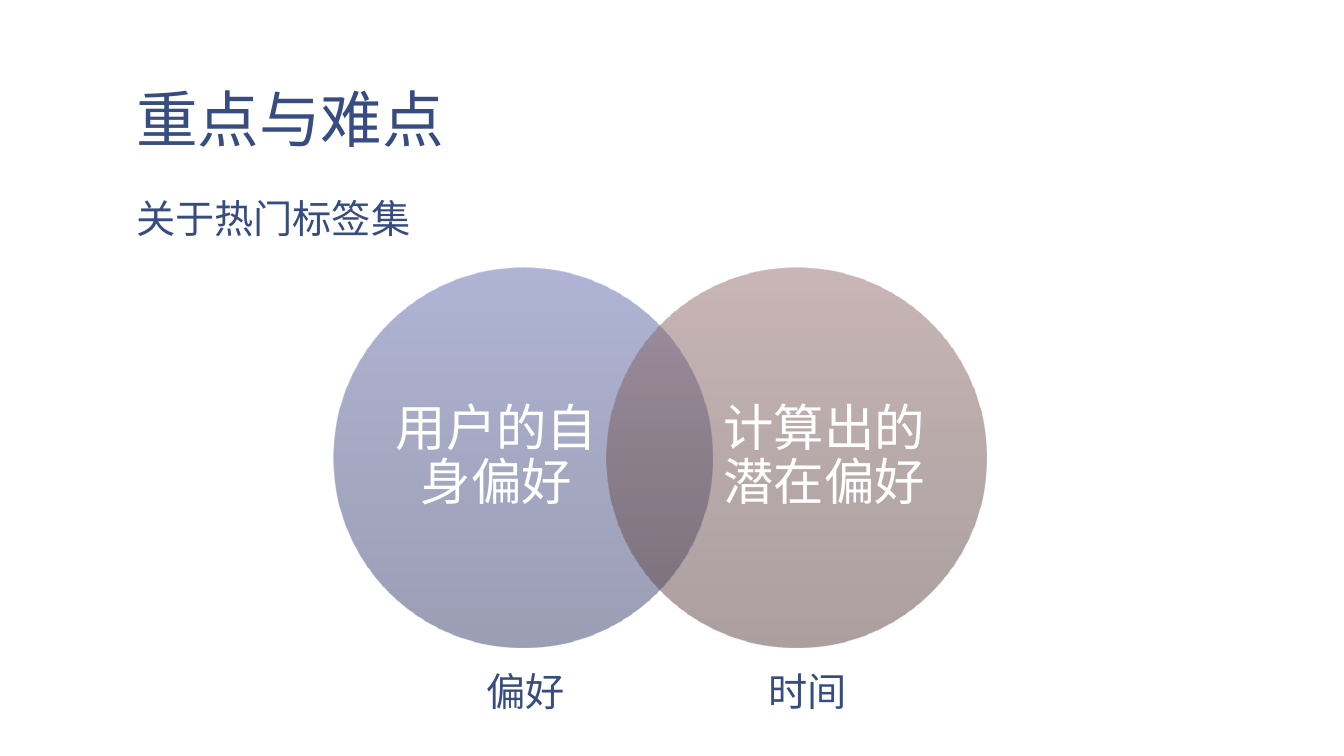
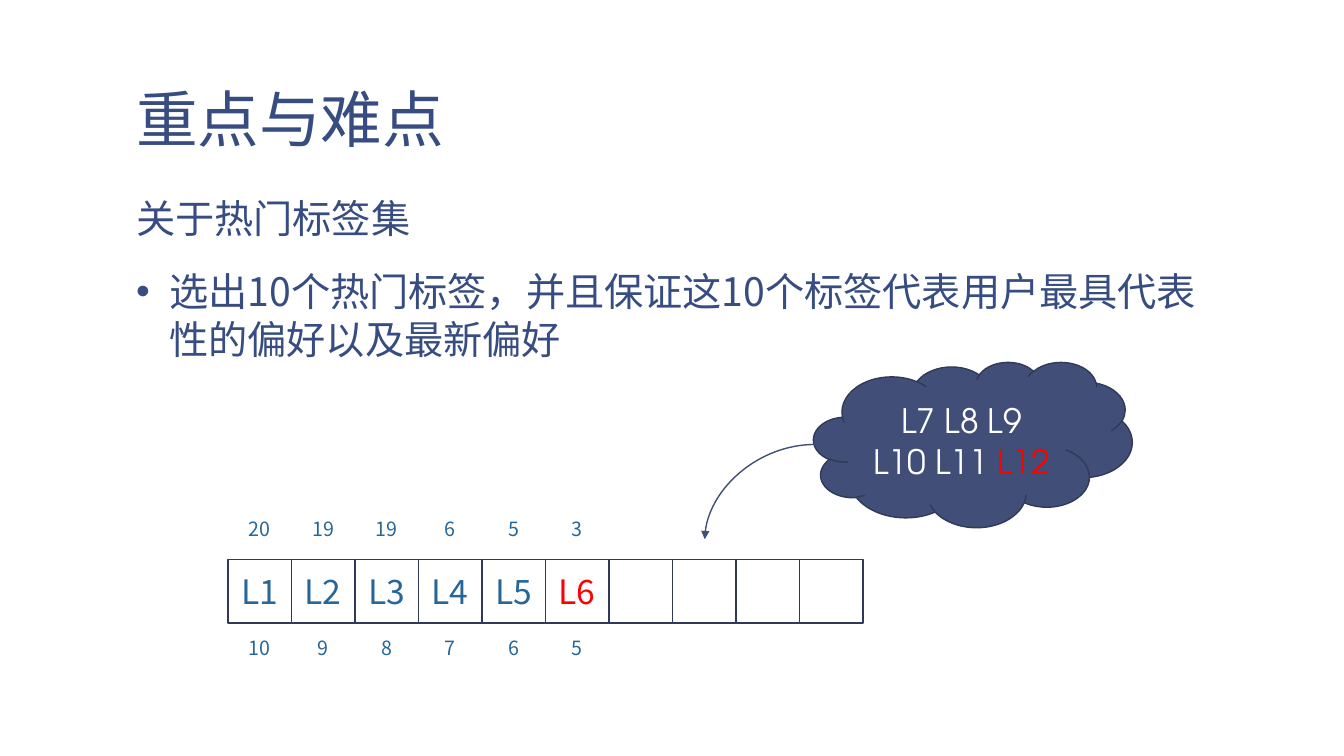
from copy import deepcopy

from lxml.etree import SubElement
from pptx import Presentation
from pptx.dml.color import RGBColor
from pptx.enum.shapes import MSO_CONNECTOR, MSO_SHAPE
from pptx.enum.text import MSO_ANCHOR, PP_ALIGN
from pptx.oxml.ns import qn
from pptx.util import Inches, Pt

NAVY = RGBColor(0x37, 0x4C, 0x81)
SLATE = RGBColor(0x41, 0x4E, 0x77)
OUTLINE = RGBColor(0x30, 0x3A, 0x58)
TAG_BLUE = RGBColor(0x27, 0x66, 0x98)
RED = RGBColor(0xFF, 0x00, 0x00)
WHITE = RGBColor(0xFF, 0xFF, 0xFF)
BLUE_SHADES = [RGBColor(0x60, 0x6A, 0xAF), RGBColor(0x4B, 0x52, 0x87), RGBColor(0x36, 0x3C, 0x69)]
BROWN_SHADES = [RGBColor(0x95, 0x6C, 0x6C), RGBColor(0x71, 0x55, 0x55), RGBColor(0x57, 0x3F, 0x3F)]

SANS = "Noto Sans CJK SC"
GEOMETRIC = "TeX Gyre Adventor"
PLACEHOLDER_INSETS = (0.13, 0.07)
TITLE_BOX = (1.22, 0.08, 11.11, 1.53)
SUBTITLE = "关于热门标签集"


def write(shape, lines, size, color, font=SANS, align=PP_ALIGN.CENTER,
          anchor=MSO_ANCHOR.MIDDLE, insets=(0, 0), **spacing):
    """Fill a shape with lines, each a string or a list of (text, colour) runs."""
    across, down = (Inches(inset) for inset in insets)
    frame_format = {"word_wrap": True, "vertical_anchor": anchor,
                    "margin_left": across, "margin_right": across,
                    "margin_top": down, "margin_bottom": down}
    frame = shape.text_frame
    for name, value in frame_format.items():
        setattr(frame, name, value)
    for number, line in enumerate(lines):
        paragraph = frame.add_paragraph() if number else frame.paragraphs[0]
        for name, value in {"alignment": align, **spacing}.items():
            setattr(paragraph, name, value)
        for text, run_color in [(line, color)] if isinstance(line, str) else line:
            run = paragraph.add_run()
            run.text = text
            for name, value in {"size": Pt(size), "name": font}.items():
                setattr(run.font, name, value)
            run.font.color.rgb = run_color
            SubElement(run.font._element, qn("a:ea"), typeface=font)
    return frame


def add_outlined(slide, preset, box):
    shape = slide.shapes.add_shape(preset, *map(Inches, box))
    shape.shadow.inherit = False
    shape.fill.background()
    shape.line.color.rgb = OUTLINE
    shape.line.width = Pt(1)
    return shape


deck = Presentation()
deck.slide_width = Inches(13.33)
deck.slide_height = Inches(7.5)

overlap_slide, selection_slide = [deck.slides.add_slide(deck.slide_layouts[6]) for _ in range(2)]
bodies = [
    (overlap_slide, (1.22, 1.86, 4.42, 4.89), [SUBTITLE]),
    (selection_slide, (1.22, 1.86, 10.88, 4.96),
     [SUBTITLE, "选出10个热门标签，并且保证这10个标签代表用户最具代表性的偏好以及最新偏好"]),
]
for slide, body_box, body_lines in bodies:
    title = slide.shapes.add_textbox(*map(Inches, TITLE_BOX))
    write(title, ["重点与难点"], 44, NAVY, align=PP_ALIGN.LEFT, anchor=MSO_ANCHOR.BOTTOM,
          insets=PLACEHOLDER_INSETS, line_spacing=0.85)
    body = slide.shapes.add_textbox(*map(Inches, body_box))
    body_frame = write(body, body_lines, 28, NAVY, align=PP_ALIGN.LEFT, anchor=MSO_ANCHOR.TOP,
                       insets=PLACEHOLDER_INSETS, space_before=Pt(18.7))
    for bulleted in body_frame.paragraphs[1:]:
        properties = bulleted._p.get_or_add_pPr()
        properties.set("marL", str(Inches(0.33)))
        properties.set("indent", str(-Inches(0.33)))
        SubElement(properties, qn("a:buFont"), typeface="Arial")
        SubElement(properties, qn("a:buChar"), char="•")

# Overlapping preferences
circles = [
    (3.31, BLUE_SHADES, 3.84, "用户的自身偏好", 4.46, "偏好"),
    (6.02, BROWN_SHADES, 7.09, "计算出的潜在偏好", 7.26, "时间"),
]
for circle_left, shades, text_left, preference, caption_left, caption in circles:
    circle = add_outlined(overlap_slide, MSO_SHAPE.OVAL, (circle_left, 2.66, 3.76, 3.76))
    circle.line.fill.background()
    circle.fill.gradient()
    circle.fill.gradient_angle = 270
    stop_list = circle._element.spPr.find(qn("a:gradFill")).find(qn("a:gsLst"))
    stop_list.append(deepcopy(stop_list[0]))
    for stop, shade, position in zip(circle.fill.gradient_stops, shades, (0, 0.5, 1)):
        stop.color.rgb = shade
        stop.position = position
    for color_element in stop_list.iter(qn("a:srgbClr")):
        SubElement(color_element, qn("a:alpha"), val="50000")

    preference_box = overlap_slide.shapes.add_textbox(*map(Inches, (text_left, 3.1, 2.17, 2.87)))
    write(preference_box, [preference], 36, WHITE, line_spacing=0.9)
    caption_box = overlap_slide.shapes.add_textbox(*map(Inches, (caption_left, 6.61, 1.5, 0.55)))
    write(caption_box, [caption], 28, NAVY, anchor=MSO_ANCHOR.TOP, insets=(0.1, 0.05),
          line_spacing=0.95)

# Ten slots for popular tags
SLOT_COUNT, SLOT_LEFT, SLOT_TOP, SLOT_SIZE = 10, 2.26, 5.55, 0.63
COUNT_SIZE = 0.47
tags = ["L1", "L2", "L3", "L4", "L5", "L6"]
counts_by_top = {5.01: [20, 19, 19, 6, 5, 3], 6.19: [10, 9, 8, 7, 6, 5]}

for index in range(SLOT_COUNT):
    slot_left = SLOT_LEFT + index * SLOT_SIZE
    slot = add_outlined(selection_slide, MSO_SHAPE.RECTANGLE,
                        (slot_left, SLOT_TOP, SLOT_SIZE, SLOT_SIZE))
    if index >= len(tags):
        continue
    write(slot, [tags[index]], 24, RED if tags[index] == "L6" else TAG_BLUE)
    count_left = slot_left + (SLOT_SIZE - COUNT_SIZE) / 2
    for count_top, counts in counts_by_top.items():
        count_box = selection_slide.shapes.add_textbox(
            *map(Inches, (count_left, count_top, COUNT_SIZE, COUNT_SIZE)))
        write(count_box, [str(counts[index])], 14, TAG_BLUE)

# Candidate tags waiting to enter the slots
candidates = add_outlined(selection_slide, MSO_SHAPE.CLOUD, (8.07, 3.59, 3.16, 1.64))
candidates.fill.solid()
candidates.fill.fore_color.rgb = SLATE
write(candidates, ["L7 L8 L9", [("L10 L11 ", WHITE), ("L12", RED)]], 24, WHITE,
      font=GEOMETRIC, insets=(0.1, 0.05))

entry_arrow = selection_slide.shapes.add_connector(
    MSO_CONNECTOR.CURVE, *map(Inches, (8.08, 4.41, 6.99, 5.35)))
entry_arrow.line.color.rgb = SLATE
entry_arrow.line.width = Pt(1)
arrow_properties = entry_arrow._element.spPr
arrow_properties.find(qn("a:prstGeom")).set("prst", "curvedConnector2")
SubElement(arrow_properties.find(qn("a:ln")), qn("a:tailEnd"), type="triangle")
SubElement(arrow_properties, qn("a:effectLst"))

deck.save("out.pptx")
